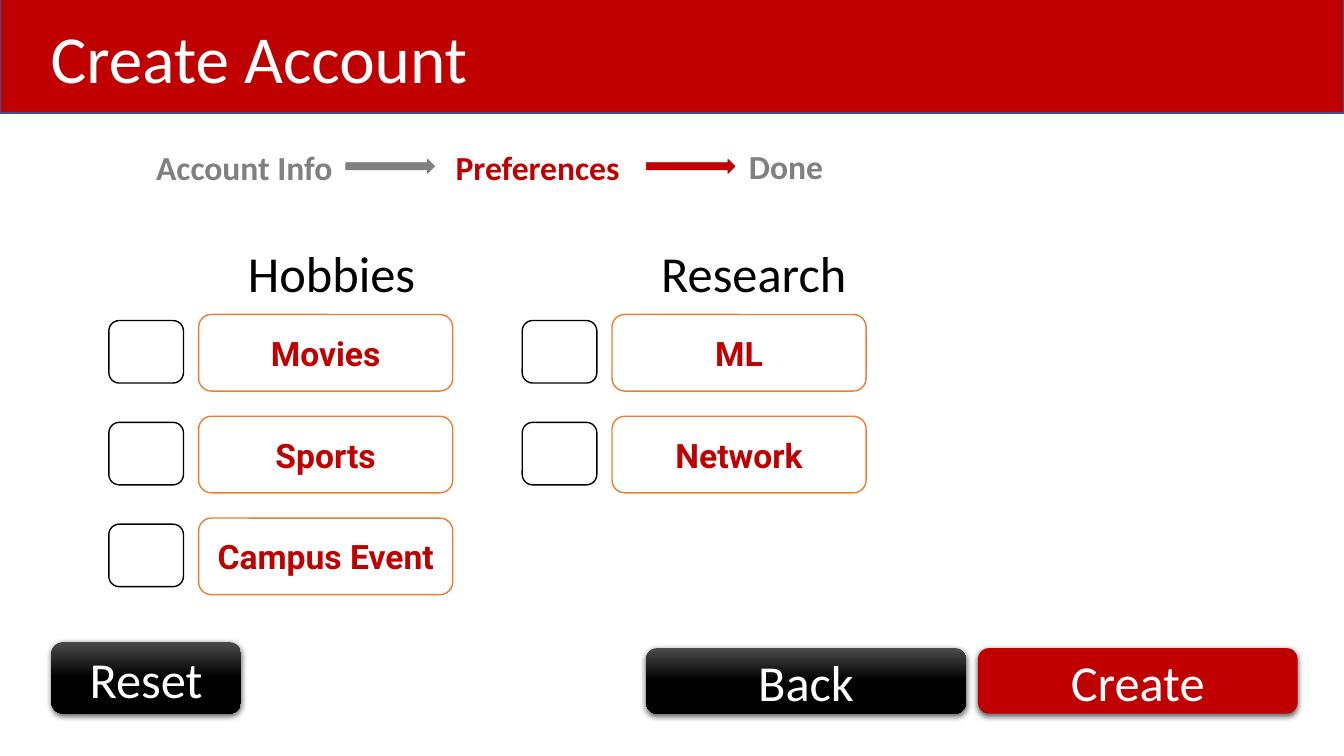
from lxml import etree
from pptx import Presentation
from pptx import util as u
from pptx.dml.color import RGBColor
from pptx.enum import shapes, text
from pptx.oxml import ns

RED, GREY, BLACK, WHITE = "C00000", "808080", "000000", "FFFFFF"
ORANGE, NAVY, CHARCOAL = "ED7D31", "325491", "4B4B4B"
KIND = shapes.MSO_SHAPE

deck = Presentation()
deck.slide_width, deck.slide_height = u.Inches(13.33), u.Inches(7.5)
page = deck.slides.add_slide(deck.slide_layouts[6])


def add_box(kind, place, fill, line=None, weight=1):
    box = page.shapes.add_shape(kind, *[u.Inches(length) for length in place])
    box.shadow.inherit = False
    box.fill.solid()
    box.fill.fore_color.rgb = RGBColor.from_string(fill)
    if line:
        box.line.color.rgb = RGBColor.from_string(line)
        box.line.width = u.Pt(weight)
    else:
        box.line.fill.background()
    return box


def write(box, words, size, color, font="Calibri", bold=False, align="CENTER"):
    para = box.text_frame.paragraphs[0]
    para.text = words
    para.alignment = text.PP_ALIGN[align]
    span = para.runs[0].font
    span.size, span.name, span.bold = u.Pt(size), font, bold
    span.color.rgb = RGBColor.from_string(color)
    return para


add_box(KIND.RECTANGLE, (0, -0.03, 13.33, 1.15), RED, NAVY)
title = page.shapes.add_textbox(u.Inches(-0.16), u.Inches(0.2), u.Inches(5.46), u.Inches(1.2))
title.text_frame.word_wrap = True
write(title, "Create Account", 48, WHITE).line_spacing = 0.9

steps = [("Account Info", 1.45, 1.41, GREY), ("Preferences", 4.42, 1.41, RED), ("Done", 7.33, 1.4, GREY)]
for words, left, top, color in steps:
    step = page.shapes.add_textbox(u.Inches(left), u.Inches(top), u.Inches(1.98), u.Inches(0.5))
    step.text_frame.word_wrap = True
    write(step, words, 24, color, bold=True, align="LEFT")
for left, color in [(3.43, GREY), (6.41, RED)]:
    add_box(KIND.RIGHT_ARROW, (left, 1.58, 0.88, 0.14), color, color, 0.5)

first_row, row_pitch = 3.12, 1.01
groups = [
    ("Hobbies", 1.08, 2.36, 1.88, ["Movies", "Sports", "Campus Event"]),
    ("Research", 5.18, 6.46, 2.05, ["ML", "Network"]),
]
for heading, column, heading_left, heading_width, choices in groups:
    label = page.shapes.add_textbox(u.Inches(heading_left), u.Inches(2.35), u.Inches(heading_width), u.Inches(0.71))
    label.text_frame.word_wrap = False
    write(label, heading, 36, BLACK, align="LEFT")
    for row, choice in enumerate(choices):
        top = first_row + row * row_pitch
        add_box(KIND.ROUNDED_RECTANGLE, (column, top + 0.06, 0.74, 0.62), WHITE, BLACK)
        option = add_box(KIND.ROUNDED_RECTANGLE, (column + 0.89, top, 2.52, 0.76), WHITE, ORANGE)
        write(option, choice, 24, RED, font="Roboto", bold=True)

buttons = [
    ("Reset", (0.51, 6.37, 1.88, 0.71), BLACK),
    ("Back", (6.41, 6.43, 3.17, 0.65), BLACK),
    ("Create", (9.7, 6.43, 3.17, 0.65), RED),
]
for words, place, color in buttons:
    button = add_box(KIND.ROUNDED_RECTANGLE, place, color)
    if color == BLACK:
        button.fill.gradient()
        button.fill.gradient_angle = 270
        for stop, (position, shade) in zip(button.fill.gradient_stops, [(0, CHARCOAL), (0.5, BLACK)]):
            stop.position = position
            stop.color.rgb = RGBColor.from_string(shade)
    effects = button._element.spPr.find(ns.qn("a:effectLst"))
    shadow = etree.SubElement(effects, ns.qn("a:outerShdw"), blurRad=str(u.Pt(4.5)),
                              dist=str(u.Pt(1.5)), dir="5400000", algn="ctr", rotWithShape="0")
    tint = etree.SubElement(shadow, ns.qn("a:srgbClr"), val=BLACK)
    etree.SubElement(tint, ns.qn("a:alpha"), val="63000")
    write(button, words, 36, WHITE)

deck.save("out.pptx")
